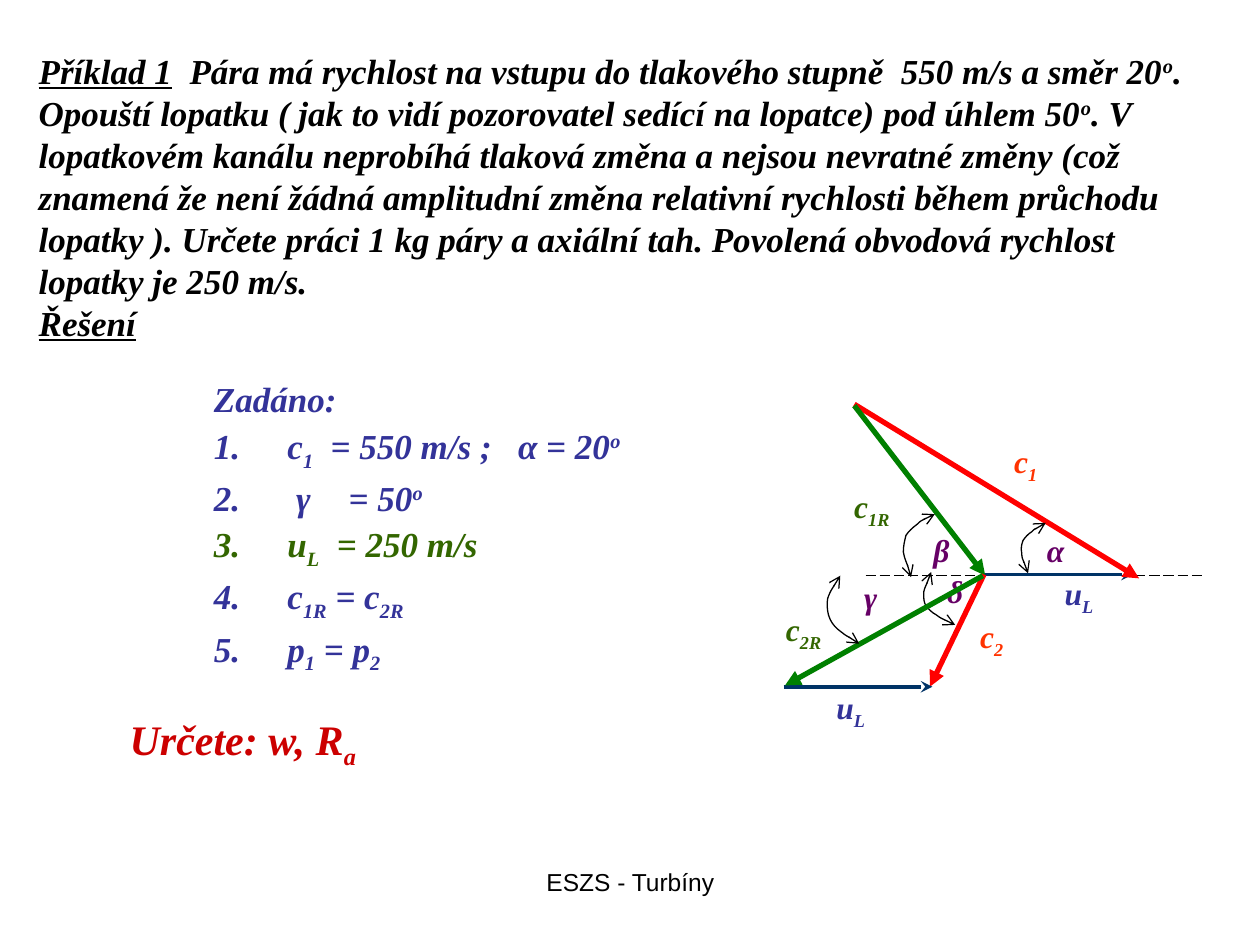
from dataclasses import dataclass

from lxml.etree import SubElement
from pptx import Presentation
from pptx.dml.color import RGBColor
from pptx.enum.dml import MSO_LINE
from pptx.enum.shapes import MSO_CONNECTOR
from pptx.enum.text import MSO_AUTO_SIZE, PP_ALIGN
from pptx.oxml.ns import qn
from pptx.util import Pt


@dataclass(frozen=True)
class Theme:
    black: str = "000000"
    blue: str = "333399"
    navy: str = "003366"
    red: str = "FF0000"
    orange: str = "FF3300"
    crimson: str = "CC0000"
    green: str = "008000"
    olive: str = "336600"
    purple: str = "660066"
    serif: str = "Times New Roman"
    sans: str = "Arial"
    body: int = 20
    goal: int = 24
    label: int = 18
    foot: int = 14
    thin: float = 0.75
    mid: float = 2.25
    thick: float = 3


THEME = Theme()
SHIFT = {"_": "-25000", "^": "30000"}


def add_box(shapes, left, top, width, height):
    frame = shapes.add_textbox(Pt(left), Pt(top), Pt(width), Pt(height)).text_frame
    frame.word_wrap = True
    frame.auto_size = MSO_AUTO_SIZE.SHAPE_TO_FIT_TEXT
    return frame


def write(par, parts, size, color):
    """Add runs; a first sign _ lowers, ^ raises and * underlines a part."""
    for part in parts:
        mark = part[0]
        run = par.add_run()
        run.text = part[1:] if mark in "_^*" else part
        font = run.font
        font.name, font.size = THEME.serif, Pt(size)
        font.bold = font.italic = True
        font.color.rgb = RGBColor.from_string(color)
        if mark == "*":
            font.underline = True
        if mark in SHIFT:
            font._element.set("baseline", SHIFT[mark])


def style_line(shape, color, width, head=None, tail=None):
    line = shape.line
    line.color.rgb = RGBColor.from_string(color)
    line.width = Pt(width)
    for tag, kind in (("a:headEnd", head), ("a:tailEnd", tail)):
        if kind:
            SubElement(line._get_or_add_ln(), qn(tag), type=kind)


def add_problem(slide, box):
    frame = add_box(slide.shapes, *box)
    write(frame.paragraphs[0], [
        "*Příklad 1",
        "  Pára má rychlost na vstupu do tlakového stupně  550 m/s a směr 20", "^o",
        ". Opouští lopatku ( jak to vidí pozorovatel sedící na lopatce) pod úhlem 50", "^o",
        ". V lopatkovém kanálu neprobíhá tlaková změna a nejsou nevratné změny "
        "(což znamená že není žádná amplitudní změna relativní rychlosti během "
        "průchodu lopatky ). Určete práci 1 kg páry a axiální tah. Povolená "
        "obvodová rychlost lopatky je 250 m/s.",
    ], THEME.body, THEME.black)
    write(frame.add_paragraph(), ["*Řešení"], THEME.body, THEME.black)


def number(par, color):
    """Number a paragraph, with a hanging indent and one tab stop."""
    props = par._p.get_or_add_pPr()
    props.set("marL", str(Pt(42)))
    props.set("indent", str(-Pt(42)))
    SubElement(SubElement(props, qn("a:buClr")), qn("a:srgbClr"), val=color)
    SubElement(props, qn("a:buAutoNum"), type="arabicPeriod")
    tabs = SubElement(props, qn("a:tabLst"))
    SubElement(tabs, qn("a:tab"), pos=str(Pt(72)), algn="l")


def add_givens(slide, box):
    items = [
        (THEME.blue, ["c", "_1", "  = 550 m/s ;   α = 20", "^o"]),
        (THEME.blue, [" γ \t = 50", "^o"]),
        (THEME.olive, ["u", "_L", "  = 250 m/s"]),
        (THEME.blue, ["c", "_1R", " = c", "_2R"]),
        (THEME.blue, ["p", "_1", " = p", "_2"]),
    ]
    frame = add_box(slide.shapes, *box)
    write(frame.paragraphs[0], ["Zadáno:"], THEME.body, THEME.blue)
    for color, parts in items:
        par = frame.add_paragraph()
        par.space_before = Pt(2.5)
        number(par, color)
        write(par, parts, THEME.body, color)


def add_goal(slide, box):
    frame = add_box(slide.shapes, *box)
    write(frame.paragraphs[0], ["Určete: w, R", "_a"], THEME.goal, THEME.crimson)


def add_footer(slide, box):
    frame = add_box(slide.shapes, *box)
    frame.auto_size = MSO_AUTO_SIZE.NONE
    frame.text = "ESZS - Turbíny"
    par = frame.paragraphs[0]
    par.alignment = PP_ALIGN.CENTER
    font = par.runs[0].font
    font.name, font.size = THEME.sans, Pt(THEME.foot)
    font.color.rgb = RGBColor.from_string(THEME.black)


def add_diagram(slide, box):
    """Draw the inlet and outlet velocity triangles, each as one group."""
    left, top = box[:2]

    def label(group, parts, x, y, color, width=51, height=31.7):
        frame = add_box(group.shapes, left + x, top + y, width, height)
        write(frame.paragraphs[0], parts, THEME.label, color)

    def arrow(group, start, end, color, width, tail=None):
        ends = [Pt(base + val) for point in (start, end)
                for base, val in zip((left, top), point)]
        line = group.shapes.add_connector(MSO_CONNECTOR.STRAIGHT, *ends)
        style_line(line, color, width, tail=tail)
        SubElement(line._element.spPr, qn("a:effectLst"))
        return line

    def angle(group, name, x, y, points):
        """Name an angle and draw its arc, a chain of cubic curves."""
        label(group, [name], x, y, THEME.purple, 23, 28.8)
        first, *rest = [(Pt(left + px), Pt(top + py)) for px, py in points]
        pen = group.shapes.build_freeform(*first)
        pen.add_line_segments(rest, close=False)
        arc = pen.convert_to_shape()
        outline = next(arc._element.iter(qn("a:path")))
        steps = outline.findall(qn("a:lnTo"))
        for pos in range(0, len(steps), 3):
            curve = SubElement(outline, qn("a:cubicBezTo"))
            for step in steps[pos:pos + 3]:
                curve.append(step[0])
                outline.remove(step)
        arc.fill.background()
        arc.shadow.inherit = False
        style_line(arc, THEME.black, THEME.thin, "arrow", "arrow")

    def blade(group, start, end, x, y):
        label(group, ["u", "_L"], x, y, THEME.blue)
        arrow(group, start, end, THEME.navy, THEME.mid, "stealth")

    hub = (120.3, 97.3)
    inlet = slide.shapes.add_group_shape()
    axis = arrow(inlet, (52.6, 98), (245.6, 98), THEME.black, THEME.thin)
    axis.line.dash_style = MSO_LINE.LONG_DASH
    blade(inlet, hub, (205.3, 97.3), 159.2, 93.7)
    label(inlet, ["c", "_1"], 130.4, 18.1, THEME.orange)
    arrow(inlet, (46.2, 0), (208.9, 99.5), THEME.red, THEME.thick, "triangle")
    angle(inlet, "α", 149.1, 69.2, [
        (145.5, 96.6), (144.8, 94.4), (141.9, 88), (141.9, 85.1), (141.2, 82.2),
        (141.9, 80), (142.6, 77.9), (144.1, 75.7), (145.5, 74.3), (147.7, 72.8),
        (149.8, 70.7), (154.2, 69.2), (155.6, 67.8)])
    label(inlet, ["c", "_1R"], 39, 44, THEME.olive)
    arrow(inlet, (46.2, 0.8), (121, 98), THEME.green, THEME.thick, "triangle")
    angle(inlet, "β", 84.3, 69.2, [
        (78.6, 98.8), (78.6, 96.6), (75, 88.7), (74.2, 84.4), (74.2, 80.8),
        (75, 77.9), (75.7, 75), (77.1, 72.8), (79.3, 70.7), (82.2, 68.5),
        (84.3, 66.4), (90.1, 63.5), (92.2, 62.8)])

    outlet = slide.shapes.add_group_shape()
    label(outlet, ["c", "_2"], 111, 118.2, THEME.orange, 36.7)
    arrow(outlet, hub, (89.4, 161.4), THEME.red, THEME.thick, "triangle")
    angle(outlet, "δ", 92.2, 92.3, [
        (103.8, 126.1), (102.3, 125.4), (95.8, 122.5), (93, 120.4), (90.1, 118.9),
        (88.6, 116.8), (87.2, 115.3), (85.8, 113.2), (85.8, 111), (85.8, 107.4),
        (86.5, 104.5), (89.4, 98.8), (90.1, 95.9)])
    blade(outlet, (5.8, 161.4), (90.8, 161.4), 28.9, 158.5)
    label(outlet, ["c", "_2R"], 0, 113.9, THEME.olive)
    arrow(outlet, (119.6, 98), (6.6, 160.7), THEME.green, THEME.thick, "triangle")
    angle(outlet, "γ", 44.7, 95.9, [
        (49, 136.9), (47.6, 135.5), (41.8, 132.6), (39, 130.4), (36.1, 128.3),
        (33.9, 126.1), (32.5, 123.2), (31, 120.4), (30.3, 115.3), (31, 111),
        (32.5, 106.7), (36.8, 100.2), (38.2, 98)])


def main():
    deck = Presentation()
    deck.slide_width, deck.slide_height = Pt(720), Pt(540)
    slide = deck.slides.add_slide(deck.slide_layouts[6])
    add_problem(slide, (15, 24.5, 691, 175.7))
    add_diagram(slide, (442, 231, 246, 190))
    add_givens(slide, (115.2, 212.4, 293, 177))
    add_goal(slide, (67, 404, 293, 40.3))
    add_footer(slide, (246.2, 491.8, 228.2, 37.4))
    deck.save("out.pptx")


if __name__ == "__main__":
    main()
